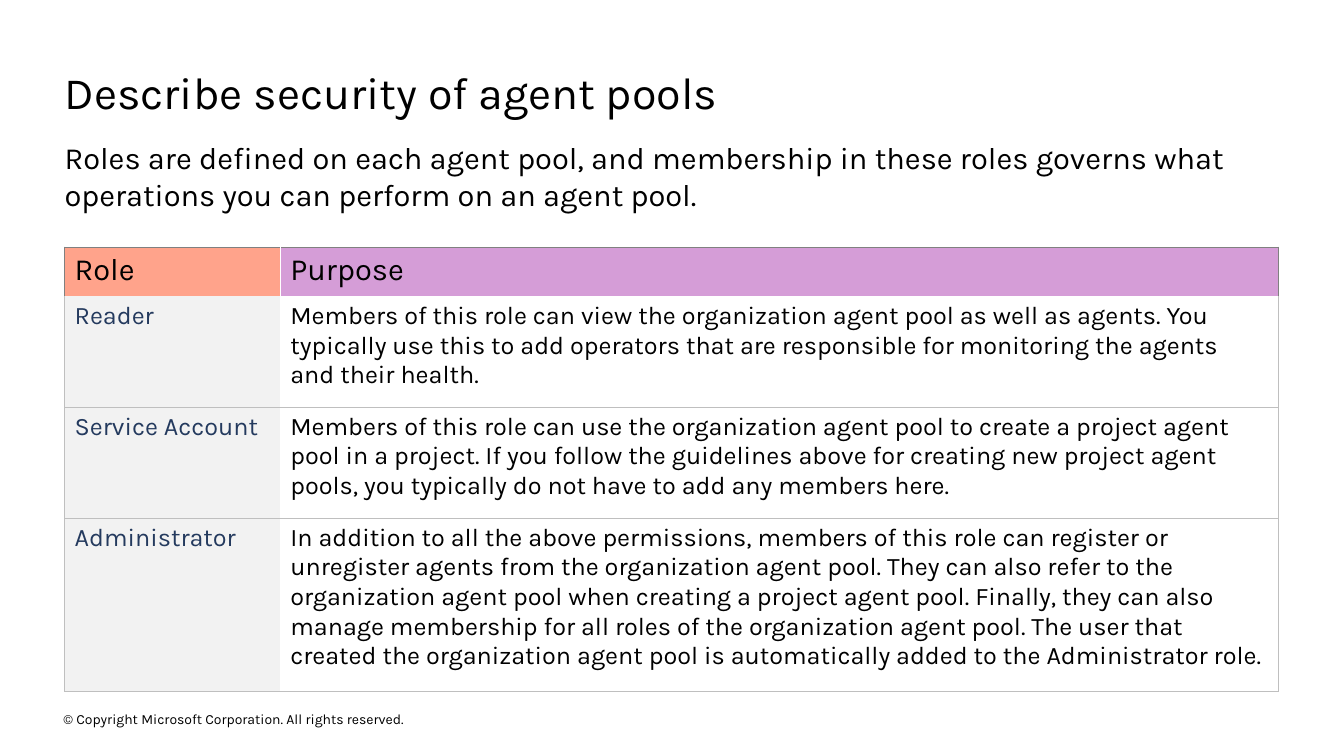
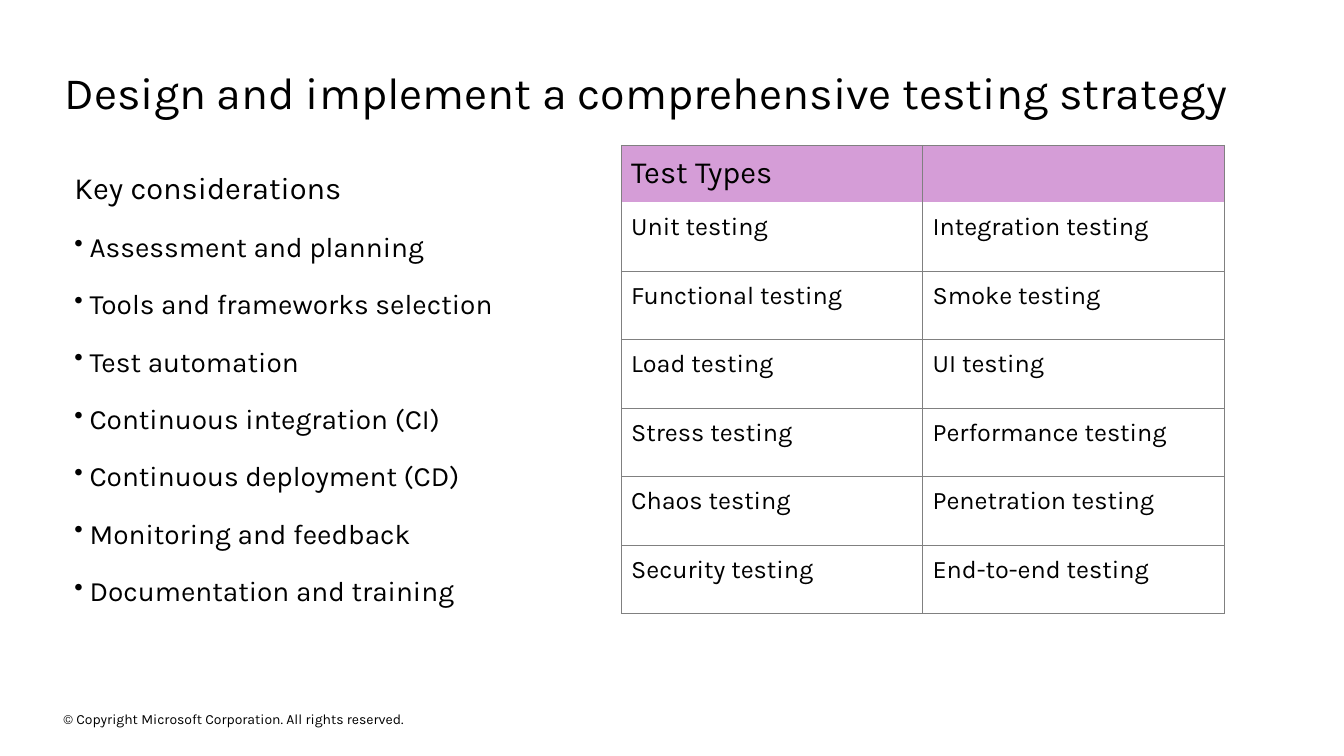
import dataclasses

import pptx
import pptx.dml.color
import pptx.enum.text
import pptx.oxml.ns
import pptx.util
from lxml import etree

PX = 9144  # EMU per px, 100 px to the inch
qn = pptx.oxml.ns.qn
Pt = pptx.util.Pt
RGB = pptx.dml.color.RGBColor.from_string


@dataclasses.dataclass(frozen=True)
class Theme:
    font: str = "Karla"
    text: str = "000000"
    navy: str = "243A5E"
    white: str = "FFFFFF"
    coral: str = "FFA38B"
    orchid: str = "D59DD7"
    pale: str = "F2F2F2"
    rule: str = "BFBFBF"
    dark_rule: str = "808080"
    title_size: int = 32
    lead_size: int = 22
    bullet_size: int = 20
    cell_size: int = 18
    footer_size: int = 10


THEME = Theme()
LEFT, CONTENT_WIDTH = 64, 1204


def add_text(slide, box, lines, size, inset=(0, 0)):
    """Place a wrapped text box, one paragraph per line, and return its frame."""
    frame = slide.shapes.add_textbox(*(v * PX for v in box)).text_frame
    frame.word_wrap = True
    frame.margin_left = frame.margin_right = inset[0] * PX
    frame.margin_top = frame.margin_bottom = inset[1] * PX
    frame.text = "\n".join(lines)
    for paragraph in frame.paragraphs:
        for run in paragraph.runs:
            run.font.name = THEME.font
            run.font.size = Pt(size)
            run.font.color.rgb = RGB(THEME.text)
    return frame


def add_ruled_table(slide, origin, widths, heights, rows, inset,
                    header_fills, body_fills, body_inks, body_rule, dividers):
    """Draw a table; dividers are the inner vertical rules of header and body."""
    table = slide.shapes.add_table(
        len(rows), len(widths), *(v * PX for v in origin),
        sum(widths) * PX, sum(heights) * PX).table
    for column, width in zip(table.columns, widths):
        column.width = width * PX
    for r, (row, height) in enumerate(zip(rows, heights)):
        table.rows[r].height = height * PX
        header = r == 0
        outer = THEME.dark_rule if header else body_rule
        inner = dividers[0 if header else 1]
        for c, text in enumerate(row):
            cell = table.cell(r, c)
            borders = {
                "a:lnL": outer if c == 0 else inner,
                "a:lnR": outer if c == len(row) - 1 else inner,
                "a:lnT": None if r == 1 else outer,
                "a:lnB": None if header else outer,
            }
            properties = cell._tc.get_or_add_tcPr()
            for tag, colour in borders.items():
                line = etree.SubElement(properties, qn(tag), w=str(Pt(0.5)))
                if colour:
                    fill = etree.SubElement(line, qn("a:solidFill"))
                    etree.SubElement(fill, qn("a:srgbClr"), val=colour)
                else:
                    etree.SubElement(line, qn("a:noFill"))
            cell.fill.solid()
            cell.fill.fore_color.rgb = RGB((header_fills if header else body_fills)[c])
            cell.margin_left = cell.margin_right = inset[0] * PX
            cell.margin_top = cell.margin_bottom = inset[1] * PX
            cell.text_frame.text = text
            for run in cell.text_frame.paragraphs[0].runs:
                run.font.name = THEME.font
                run.font.bold = False
                run.font.size = Pt(THEME.lead_size if header else THEME.cell_size)
                run.font.color.rgb = RGB(THEME.text if header else body_inks[c])


deck = pptx.Presentation()
deck.slide_width, deck.slide_height = 1333 * PX, 750 * PX

# Title and footer on every slide
slides = []
for title in ("Describe security of agent pools",
              "Design and implement a comprehensive testing strategy"):
    slide = deck.slides.add_slide(deck.slide_layouts[6])
    footer = add_text(slide, (63, 702, 454, 22),
                      ["© Copyright Microsoft Corporation. All rights reserved."],
                      THEME.footer_size)
    footer.vertical_anchor = pptx.enum.text.MSO_ANCHOR.MIDDLE
    add_text(slide, (LEFT, 64, CONTENT_WIDTH, 54), [title], THEME.title_size)
    slides.append(slide)
security, testing = slides

# Agent pool roles
add_text(security, (LEFT, 138, CONTENT_WIDTH, 74),
         ["Roles are defined on each agent pool, and membership in these roles "
          "governs what operations you can perform on an agent pool."],
         THEME.lead_size)
roles = [
    ("Role", "Purpose"),
    ("Reader",
     "Members of this role can view the organization agent pool as well as agents. "
     "You typically use this to add operators that are responsible for monitoring "
     "the agents and their health."),
    ("Service Account",
     "Members of this role can use the organization agent pool to create a project "
     "agent pool in a project. If you follow the guidelines above for creating new "
     "project agent pools, you typically do not have to add any members here."),
    ("Administrator",
     "In addition to all the above permissions, members of this role can register or "
     "unregister agents from the organization agent pool. They can also refer to the "
     "organization agent pool when creating a project agent pool. Finally, they can "
     "also manage membership for all roles of the organization agent pool. The user "
     "that created the organization agent pool is automatically added to the "
     "Administrator role."),
]
add_ruled_table(
    security, (LEFT, 245), (214, 990), (49, 110, 110, 172), roles, inset=(10, 5),
    header_fills=(THEME.coral, THEME.orchid), body_fills=(THEME.pale, THEME.white),
    body_inks=(THEME.navy, THEME.text), body_rule=THEME.rule,
    dividers=(THEME.white, None))

# Testing strategy
considerations = add_text(testing, (LEFT, 144, 450, 494), [
    "Key considerations",
    "Assessment and planning",
    "Tools and frameworks selection",
    "Test automation",
    "Continuous integration (CI)",
    "Continuous deployment (CD)",
    "Monitoring and feedback",
    "Documentation and training",
], THEME.lead_size, inset=(10, 5))
heading, *points = considerations.paragraphs
heading.line_spacing = 1.5
for point in points:
    properties = point._p.get_or_add_pPr()
    properties.set("marL", str(15 * PX))
    properties.set("indent", str(-15 * PX))
    etree.SubElement(properties, qn("a:buSzPct"), val="90000")
    etree.SubElement(properties, qn("a:buChar"), char="•")
    point.line_spacing = 1.5
    point.space_before = Pt(5)
    point.runs[0].font.size = Pt(THEME.bullet_size)

test_types = [
    ("Test Types", ""),
    ("Unit testing", "Integration testing"),
    ("Functional testing", "Smoke testing"),
    ("Load testing", "UI testing"),
    ("Stress testing", "Performance testing"),
    ("Chaos testing", "Penetration testing"),
    ("Security testing", "End-to-end testing"),
]
add_ruled_table(
    testing, (616, 144), (299, 299), [55] + [68] * 6, test_types, inset=(10, 10),
    header_fills=(THEME.orchid,) * 2, body_fills=(THEME.white,) * 2,
    body_inks=(THEME.text,) * 2, body_rule=THEME.dark_rule,
    dividers=(THEME.dark_rule,) * 2)

deck.save("out.pptx")
